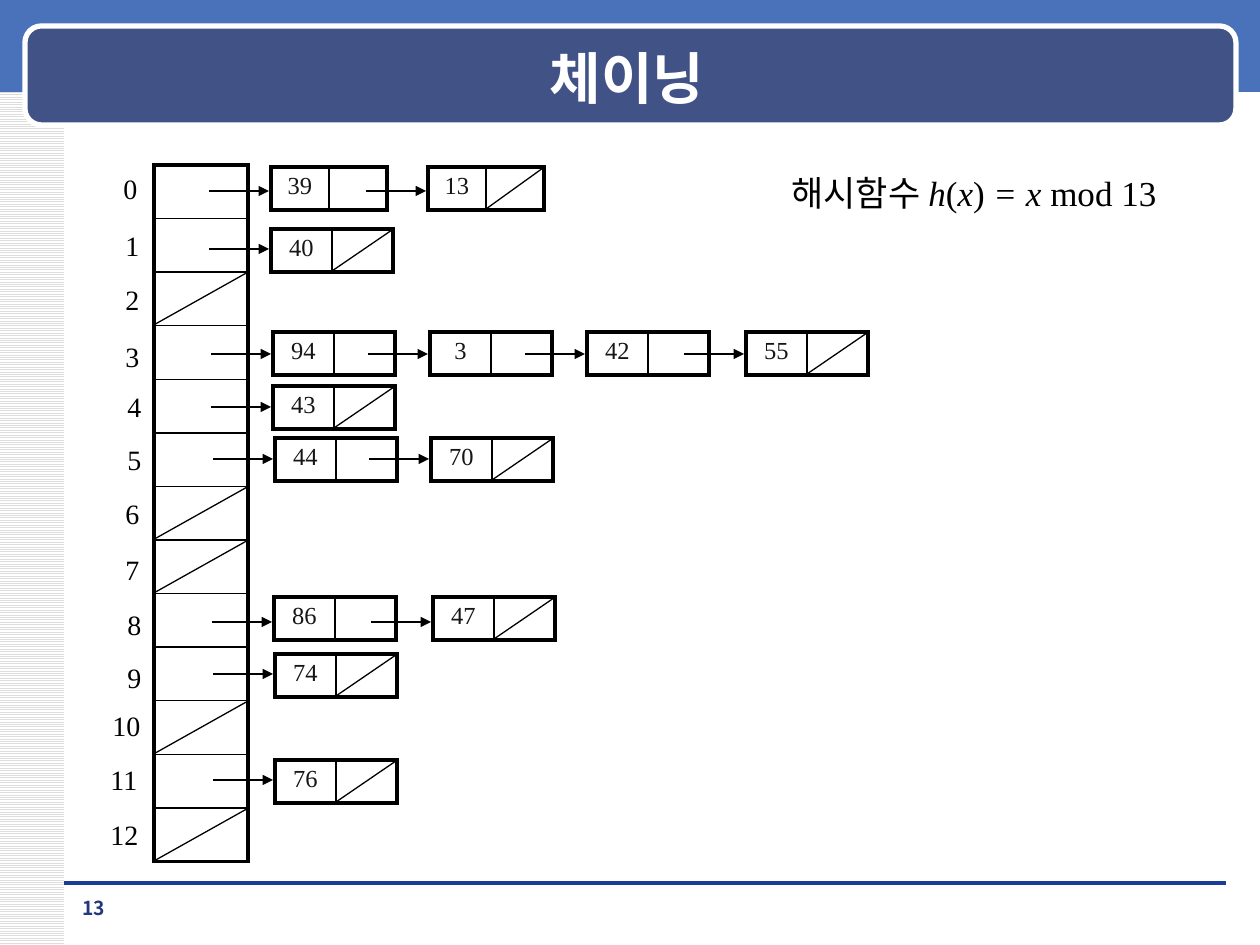
from lxml.etree import SubElement
from pptx import Presentation
from pptx.dml.color import RGBColor
from pptx.enum.dml import MSO_PATTERN
from pptx.enum.shapes import MSO_CONNECTOR, MSO_SHAPE
from pptx.enum.text import MSO_ANCHOR, PP_ALIGN
from pptx.oxml.ns import qn
from pptx.util import Emu, Pt

PX_PER_INCH = 126
SANS, SERIF = "Noto Sans CJK KR", "Times New Roman"
BLACK = RGBColor(0x00, 0x00, 0x00)
WHITE = RGBColor(0xFF, 0xFF, 0xFF)
KEY_INK = RGBColor(0x16, 0x16, 0x16)
STRIPE = RGBColor(0xDD, 0xDD, 0xDD)
BAND_BLUE = RGBColor(0x49, 0x72, 0xBB)
BANNER_BLUE = RGBColor(0x40, 0x52, 0x86)
RULE_BLUE = RGBColor(0x1A, 0x3D, 0x97)
NUMBER_BLUE = RGBColor(0x23, 0x38, 0x7D)

TITLE_FORMAT = {"name": SANS, "size": Pt(32), "bold": True, "color": WHITE}
NUMBER_FORMAT = {"name": SANS, "size": Pt(11), "bold": True, "color": NUMBER_BLUE}
LABEL_FORMAT = {"name": SERIF, "size": Pt(16), "color": BLACK}
KEY_FORMAT = {"name": SERIF, "size": Pt(14), "color": KEY_INK}
FORMULA_FORMAT = {"name": SERIF, "size": Pt(20), "color": BLACK}

THICK, THIN, HAIR = 2.25, 1, 0.75
SLOT_LEFT, SLOT_TOP, SLOT_WIDTH, SLOTS_HEIGHT = 154, 165, 94, 697
NODE_HEIGHT, ARROW_LENGTH = 43, 60

# Label left, label top, then for a filled bucket:
# node top, arrow height, node width, [(key, node left), ...]
BUCKETS = [
    (111, 165, (167, 191, 116, [("39", 271), ("13", 428)])),
    (113, 222, (229, 249, 122, [("40", 271)])),
    (113, 276, None),
    (113, 333, (332, 354, 122, [("94", 273), ("3", 430), ("42", 587), ("55", 746)])),
    (115, 383, (386, 407, 122, [("43", 273)])),
    (115, 436, (438, 459, 122, [("44", 275), ("70", 431)])),
    (113, 490, None),
    (113, 546, None),
    (115, 601, (597, 622, 122, [("86", 274), ("47", 433)])),
    (115, 654, (654, 674, 122, [("74", 275)])),
    (100, 702, None),
    (98, 756, (760, 780, 122, [("76", 275)])),
    (98, 811, None),
]


def px(value):
    return Emu(round(value * 914400 / PX_PER_INCH))


def add_span(para, text, formats):
    span = para.add_run()
    span.text = text
    for name, value in formats.items():
        if name == "color":
            span.font.color.rgb = value
        else:
            setattr(span.font, name, value)
    SubElement(span.font._element, qn("a:ea"), typeface=formats["name"])


def add_text(page, left, top, width, height, spans, align=PP_ALIGN.LEFT, wrap=False):
    box = page.shapes.add_textbox(px(left), px(top), px(width), px(height))
    box.text_frame.word_wrap = wrap
    para = box.text_frame.paragraphs[0]
    para.alignment = align
    for text, formats in spans:
        add_span(para, text, formats)


def add_panel(page, kind, left, top, width, height, color):
    panel = page.shapes.add_shape(kind, px(left), px(top), px(width), px(height))
    panel.shadow.inherit = False
    panel.fill.solid()
    panel.fill.fore_color.rgb = color
    panel.line.fill.background()
    return panel


def add_line(page, start, end, width, color=BLACK, arrow=False):
    points = [px(value) for value in (*start, *end)]
    line = page.shapes.add_connector(MSO_CONNECTOR.STRAIGHT, *points)
    line.line.color.rgb = color
    line.line.width = Pt(width)
    if arrow:
        SubElement(line.line._get_or_add_ln(), qn("a:tailEnd"), type="triangle")
    SubElement(line.element.spPr, qn("a:effectLst"))


def set_borders(cell, widths):
    properties = cell._tc.get_or_add_tcPr()
    for side, width in zip("LRTB", widths):
        border = SubElement(properties, qn(f"a:ln{side}"), w=str(Pt(width)))
        fill = SubElement(border, qn("a:solidFill"))
        SubElement(fill, qn("a:srgbClr"), val=str(BLACK))


def add_grid(page, rows, columns, left, top, width, height):
    """Add an unfilled table with thick outer and thin inner borders."""
    frame = page.shapes.add_table(rows, columns, px(left), px(top), px(width), px(height))
    table = frame.table
    table.first_row = table.horz_banding = False
    for row in range(rows):
        for column in range(columns):
            cell = table.cell(row, column)
            outer = (column == 0, column == columns - 1, row == 0, row == rows - 1)
            set_borders(cell, [THICK if edge else THIN for edge in outer])
            cell.fill.background()
            cell.margin_top = cell.margin_bottom = 0
    return table


def add_node(page, key, left, top, width):
    cell = add_grid(page, 1, 2, left, top, width, NODE_HEIGHT).cell(0, 0)
    cell.margin_top = px(6)
    para = cell.text_frame.paragraphs[0]
    para.alignment = PP_ALIGN.CENTER
    add_span(para, key, KEY_FORMAT)


def add_chain(page, top, arrow_y, width, nodes):
    for index, (key, left) in enumerate(nodes):
        add_node(page, key, left, top, width)
        tip = left - 2
        add_line(page, (tip - ARROW_LENGTH, arrow_y), (tip, arrow_y), THIN, arrow=True)
    # The last node points nowhere
    add_line(page, (left + width - 1, top + 1),
             (left + width / 2, top + NODE_HEIGHT - 1), HAIR)


def add_backdrop(page):
    stripes = add_panel(page, MSO_SHAPE.RECTANGLE, 0, 0, 64, 945, WHITE)
    stripes.fill.patterned()
    stripes.fill.pattern = MSO_PATTERN.LIGHT_HORIZONTAL
    stripes.fill.fore_color.rgb = STRIPE
    stripes.fill.back_color.rgb = WHITE
    add_panel(page, MSO_SHAPE.RECTANGLE, 0, -4, 1260, 96, BAND_BLUE)
    add_line(page, (64, 883), (1226, 883), 0, RULE_BLUE)
    banner = add_panel(page, MSO_SHAPE.ROUNDED_RECTANGLE, 25, 26, 1211, 99, BANNER_BLUE)
    banner.line.color.rgb = WHITE
    banner.line.width = Pt(3)


def add_title(page, text):
    title = page.shapes.title
    page.shapes.element.append(title.element)  # in front of the banner
    place = {"left": 89, "top": 38, "width": 1076, "height": 78}
    for name, value in place.items():
        setattr(title, name, px(value))
    title.text_frame.vertical_anchor = MSO_ANCHOR.MIDDLE
    para = title.text_frame.paragraphs[0]
    para.alignment = PP_ALIGN.CENTER
    add_span(para, text, TITLE_FORMAT)


def add_buckets(page):
    add_grid(page, len(BUCKETS), 1, SLOT_LEFT, SLOT_TOP, SLOT_WIDTH, SLOTS_HEIGHT)
    pitch = SLOTS_HEIGHT / len(BUCKETS)
    for index, (left, top, chain) in enumerate(BUCKETS):
        label = str(index)
        add_text(page, left, top, 39 if index < 10 else 54, 46, [(label, LABEL_FORMAT)])
        if chain:
            add_chain(page, *chain)
        else:
            slot_top = SLOT_TOP + index * pitch
            add_line(page, (SLOT_LEFT + SLOT_WIDTH - 2, slot_top + 1),
                     (SLOT_LEFT, slot_top + pitch - 1), HAIR)


def add_formula(page):
    italic = {**FORMULA_FORMAT, "italic": True}
    add_text(page, 779, 165, 410, 55, [
        ("해시함수 ", {**FORMULA_FORMAT, "name": SANS}),
        ("h", italic), ("(", FORMULA_FORMAT), ("x", italic), (")", FORMULA_FORMAT),
        (" = x ", italic), ("mod 13", FORMULA_FORMAT),
    ])


def main():
    deck = Presentation()
    deck.slide_width, deck.slide_height = px(1260), px(945)
    page = deck.slides.add_slide(deck.slide_layouts[5])
    add_backdrop(page)
    add_title(page, "체이닝")
    add_text(page, 64, 890, 59, 34, [("13", NUMBER_FORMAT)], PP_ALIGN.CENTER, wrap=True)
    add_buckets(page)
    add_formula(page)
    deck.save("out.pptx")


if __name__ == "__main__":
    main()
